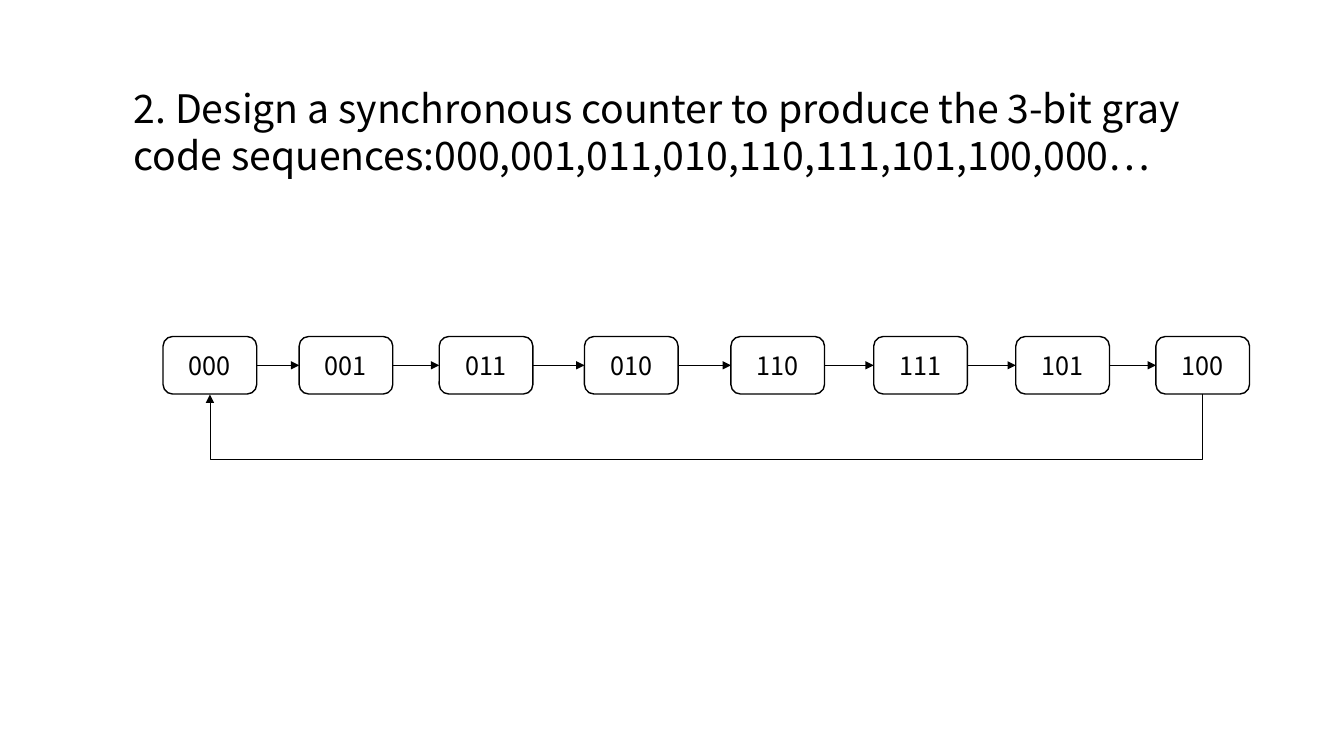
from lxml import etree
from pptx import Presentation
from pptx.dml.color import RGBColor
from pptx.enum import shapes, text
from pptx.oxml.ns import qn
from pptx.util import Cm, Pt

FONT = "Noto Sans CJK SC"
INK = "000000"
LEFTS = {"000": 4.11, "001": 7.54, "011": 11.07, "010": 14.73,
         "110": 18.42, "111": 22.02, "101": 25.6, "100": 29.13}
TOP, WIDE, HIGH = 8.48, 2.36, 1.45
DROP, THIN = 1.65, 0.02


def style(par, size, color):
    par.font.name = FONT
    par.font.size = Pt(size)
    par.font.color.rgb = RGBColor.from_string(color)


def join(kind, start, out, end, into):
    """Draw an arrow from side `out` of start to side `into` of end."""
    link = slide.shapes.add_connector(kind, 0, 0, 0, 0)
    link.begin_connect(start, out)
    link.end_connect(end, into)
    link.line.color.rgb = RGBColor.from_string(INK)
    link.line.width = Pt(0.5)
    props = link._element.spPr
    etree.SubElement(props.find(qn("a:ln")), qn("a:tailEnd"), type="triangle")
    etree.SubElement(props, qn("a:effectLst"))
    return link


deck = Presentation()
deck.slide_width, deck.slide_height = Cm(33.87), Cm(19.05)
slide = deck.slides.add_slide(deck.slide_layouts[6])

title = slide.shapes.add_textbox(Cm(3.12), Cm(2.01), Cm(28.27), Cm(2.64))
title.text_frame.word_wrap = True
title.text_frame.text = ("2. Design a synchronous counter to produce the 3-bit gray "
                         "code sequences:000,001,011,010,110,111,101,100,000…")
style(title.text_frame.paragraphs[0], 28, INK)

boxes = []
for code, left in LEFTS.items():
    box = slide.shapes.add_shape(shapes.MSO_SHAPE.ROUNDED_RECTANGLE,
                                 Cm(left), Cm(TOP), Cm(WIDE), Cm(HIGH))
    box.shadow.inherit = False
    box.fill.background()
    box.line.color.rgb = RGBColor.from_string(INK)
    box.line.width = Pt(1)
    box.text_frame.text = code
    box.text_frame.vertical_anchor = text.MSO_ANCHOR.MIDDLE
    par = box.text_frame.paragraphs[0]
    par.alignment = text.PP_ALIGN.CENTER
    style(par, 18, INK)
    boxes.append(box)

for start, end in zip(boxes, boxes[1:]):
    join(shapes.MSO_CONNECTOR.STRAIGHT, start, 3, end, 1)

# The return arrow is a thin elbow turned by 90 degrees; its bend hangs DROP below
back = join(shapes.MSO_CONNECTOR.ELBOW, boxes[-1], 2, boxes[0], 2)
span = LEFTS["100"] - LEFTS["000"]
mid = (LEFTS["100"] + LEFTS["000"] + WIDE) / 2
back.left, back.top = Cm(mid - THIN / 2), Cm(TOP + HIGH - span / 2)
back.width, back.height = Cm(THIN), Cm(span)
frame = back._element.spPr.xfrm
frame.flipH = frame.flipV = False
frame.rot = 90
geom = back._element.spPr.find(qn("a:prstGeom"))
bend = etree.SubElement(geom.find(qn("a:avLst")), qn("a:gd"), name="adj1")
bend.set("fmla", f"val {round(DROP / THIN * 100000)}")

deck.save("out.pptx")
